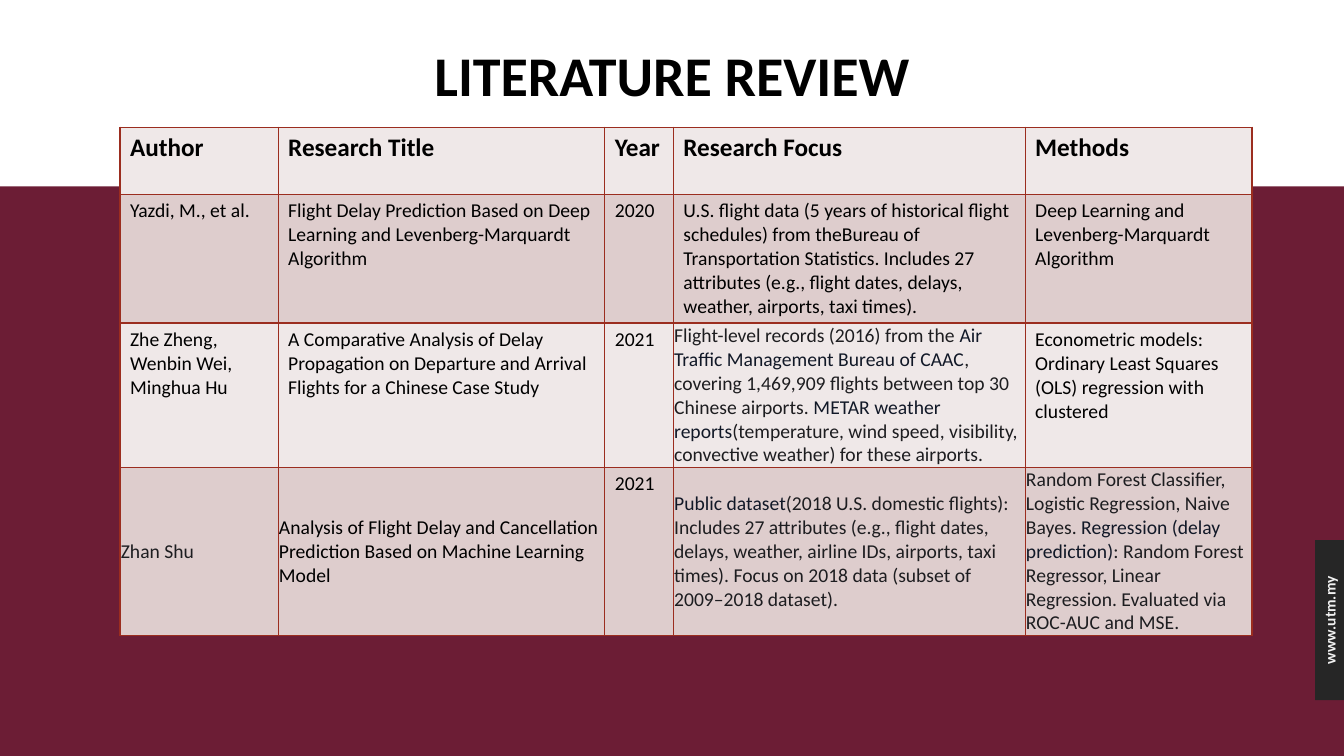
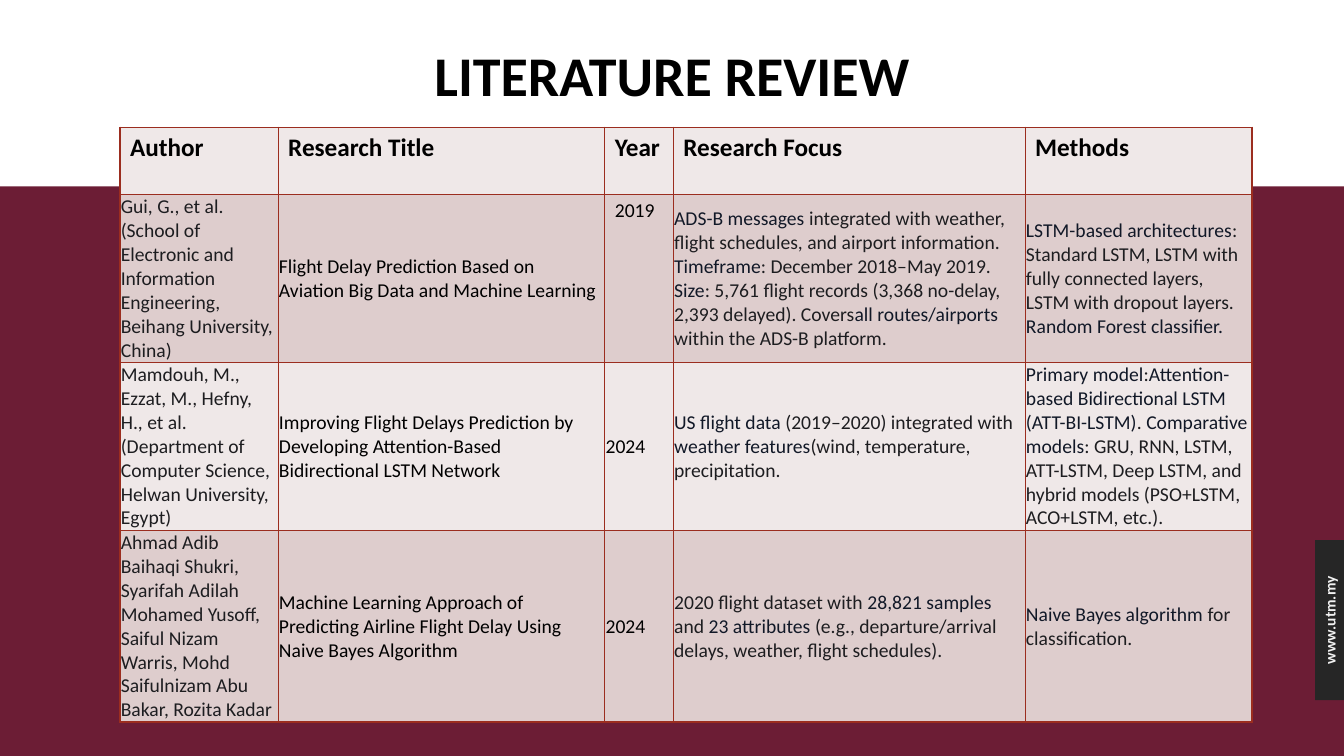
from dataclasses import dataclass

from lxml.etree import SubElement
from pptx import Presentation
from pptx.dml.color import RGBColor
from pptx.enum.shapes import MSO_SHAPE
from pptx.enum.text import MSO_ANCHOR, PP_ALIGN
from pptx.oxml.ns import qn
from pptx.util import Pt

FONT = "Calibri"
BLACK = RGBColor(0x00, 0x00, 0x00)
BODY = RGBColor(0x1D, 0x1D, 0x20)
KEY = RGBColor(0x11, 0x18, 0x27)
MAROON = RGBColor(0x6C, 0x1D, 0x35)
TAB_DARK = RGBColor(0x26, 0x26, 0x26)
TAB_TEXT = RGBColor(0xF2, 0xF2, 0xF2)
ROW_FILLS = (RGBColor(0xEF, 0xE8, 0xE8), RGBColor(0xDE, 0xCD, 0xCD))
BORDER = RGBColor(0x9B, 0x2D, 0x1F)

HEADINGS = ("Author", "Research Title", "Year", "Research Focus", "Methods")
COLUMN_WIDTHS = (113, 233.3, 49, 251.3, 162)
HEADER_HEIGHT = 48


@dataclass
class Tight:
    """Cell text without padding, centred vertically; *stars* mark key phrases."""
    text: str
    color: RGBColor = BODY


def write(frame, text, *, size, color=BLACK, bold=False, align=PP_ALIGN.LEFT,
          anchor=MSO_ANCHOR.TOP, spacing=None):
    """Fill a text frame; phrases between stars take the key colour."""
    frame.word_wrap = True
    frame.vertical_anchor = anchor
    paragraph = frame.paragraphs[0]
    paragraph.alignment = align
    if spacing:
        paragraph.line_spacing = spacing
    for index, phrase in enumerate(text.split("*")):
        if phrase:
            run = paragraph.add_run()
            run.text = phrase
            run.font.name = FONT
            run.font.size = Pt(size)
            run.font.bold = bold
            run.font.color.rgb = KEY if index % 2 else color


def outline(cell):
    properties = cell._tc.get_or_add_tcPr()
    for side in ("a:lnL", "a:lnR", "a:lnT", "a:lnB"):
        line = SubElement(properties, qn(side), w=str(Pt(1)))
        fill = SubElement(line, qn("a:solidFill"))
        SubElement(fill, qn("a:srgbClr"), val=str(BORDER))


class Deck:
    def __init__(self):
        self.presentation = Presentation()
        self.presentation.slide_width = Pt(960)
        self.presentation.slide_height = Pt(540)
        self.slide = None

    def add_slide(self, title):
        layout = self.presentation.slide_layouts[6]
        self.slide = self.presentation.slides.add_slide(layout)
        self.band(0, 133.2, 960, 406.8, MAROON)
        self.band(939.4, 385.8, 20.6, 114.4, TAB_DARK)
        self.label("www.utm.my", 895.6, 432.5, 108.8, 21, rotation=270,
                   size=11, color=TAB_TEXT, bold=True, align=PP_ALIGN.CENTER)
        self.label(title, 66, 21.6, 828, 69, size=40, bold=True, spacing=0.9,
                   align=PP_ALIGN.CENTER, anchor=MSO_ANCHOR.MIDDLE)

    def band(self, left, top, width, height, color):
        band = self.slide.shapes.add_shape(
            MSO_SHAPE.RECTANGLE, Pt(left), Pt(top), Pt(width), Pt(height))
        band.shadow.inherit = False
        band.fill.solid()
        band.fill.fore_color.rgb = color
        band.line.fill.background()

    def label(self, text, left, top, width, height, rotation=0, **style):
        label = self.slide.shapes.add_textbox(
            Pt(left), Pt(top), Pt(width), Pt(height))
        label.rotation = rotation
        write(label.text_frame, text, **style)

    def review_table(self, studies, heights):
        rows = [HEADINGS, *studies]
        heights = [HEADER_HEIGHT, *heights]
        table = self.slide.shapes.add_table(
            len(rows), len(HEADINGS), Pt(85.7), Pt(90.8),
            Pt(sum(COLUMN_WIDTHS)), Pt(sum(heights))).table
        table.first_row = table.horz_banding = False
        for column, width in zip(table.columns, COLUMN_WIDTHS):
            column.width = Pt(width)
        for index, (row, height, entries) in enumerate(
                zip(table.rows, heights, rows)):
            row.height = Pt(height)
            for cell, entry in zip(row.cells, entries):
                self.review_cell(cell, entry, index)

    def review_cell(self, cell, entry, row_index):
        outline(cell)
        cell.fill.solid()
        cell.fill.fore_color.rgb = ROW_FILLS[row_index % 2]
        if isinstance(entry, Tight):
            cell.margin_left = cell.margin_right = cell.margin_top = Pt(0.6)
            cell.margin_bottom = Pt(0)
            write(cell.text_frame, entry.text, size=14, color=entry.color)
            cell.vertical_anchor = MSO_ANCHOR.MIDDLE
        else:
            heading = row_index == 0
            write(cell.text_frame, entry, size=18 if heading else 14,
                  bold=heading)


EARLIER_STUDIES = [
    ("Yazdi, M., et al.",
     "Flight Delay Prediction Based on Deep Learning and "
     "Levenberg-Marquardt Algorithm",
     "2020",
     "U.S. flight data (5 years of historical flight schedules) from "
     "theBureau of Transportation Statistics. Includes 27 attributes "
     "(e.g., flight dates, delays, weather, airports, taxi times).",
     "Deep Learning and Levenberg-Marquardt Algorithm"),
    ("Zhe Zheng, Wenbin Wei, Minghua Hu",
     "A Comparative Analysis of Delay Propagation on Departure and Arrival "
     "Flights for a Chinese Case Study",
     "2021",
     Tight("Flight-level records (2016) from the *Air Traffic Management "
           "Bureau of CAAC*, covering 1,469,909 flights between top 30 "
           "Chinese airports. *METAR weather reports*(temperature, wind "
           "speed, visibility, convective weather) for these airports."),
     "Econometric models: Ordinary Least Squares (OLS) regression with "
     "clustered"),
    (Tight("Zhan Shu"),
     Tight("Analysis of Flight Delay and Cancellation Prediction Based on "
           "Machine Learning Model", BLACK),
     "2021",
     Tight("*Public dataset*(2018 U.S. domestic flights): Includes 27 "
           "attributes (e.g., flight dates, delays, weather, airline IDs, "
           "airports, taxi times). Focus on 2018 data (subset of 2009–2018 "
           "dataset)."),
     Tight("Random Forest Classifier, Logistic Regression, Naive Bayes. "
           "*Regression (delay prediction)*: Random Forest Regressor, Linear "
           "Regression. Evaluated via ROC-AUC and MSE.")),
]

LATER_STUDIES = [
    (Tight("Gui, G., et al. (School of Electronic and Information "
           "Engineering, Beihang University, China)"),
     Tight("Flight Delay Prediction Based on Aviation Big Data and Machine "
           "Learning", BLACK),
     "2019",
     Tight("*ADS-B messages *integrated with weather, flight schedules, and "
           "airport information. *Timeframe*: December 2018–May 2019. "
           "*Size*: 5,761 flight records (3,368 no-delay, 2,393 delayed). "
           "Covers*all routes/airports *within the ADS-B platform."),
     Tight("*LSTM-based architectures*: Standard LSTM, LSTM with fully "
           "connected layers, LSTM with dropout layers. "
           "*Random Forest classifier.*")),
    (Tight("Mamdouh, M., Ezzat, M., Hefny, H., et al. (Department of "
           "Computer Science, Helwan University, Egypt)"),
     Tight("Improving Flight Delays Prediction by Developing "
           "Attention-Based Bidirectional LSTM Network", BLACK),
     Tight("2024", BLACK),
     Tight("*US flight data *(2019–2020) integrated with *weather features*"
           "(wind, temperature, precipitation."),
     Tight("*Primary model*:*Attention-based Bidirectional LSTM "
           "(ATT-BI-LSTM)*. *Comparative models*: GRU, RNN, LSTM, ATT-LSTM, "
           "Deep LSTM, and hybrid models (PSO+LSTM, ACO+LSTM, etc.).")),
    (Tight("Ahmad Adib Baihaqi Shukri, Syarifah Adilah Mohamed Yusoff, "
           "Saiful Nizam Warris, Mohd Saifulnizam Abu Bakar, Rozita Kadar"),
     Tight("Machine Learning Approach of Predicting Airline Flight Delay "
           "Using Naive Bayes Algorithm", BLACK),
     Tight("2024", BLACK),
     Tight("2020 flight dataset with *28,821 samples *and *23 attributes *"
           "(e.g., departure/arrival delays, weather, flight schedules)."),
     Tight("*Naive Bayes algorithm *for classification.")),
]


def main():
    deck = Deck()
    for studies, heights in ((EARLIER_STUDIES, (92, 103, 120)),
                             (LATER_STUDIES, (120, 120, 137))):
        deck.add_slide("LITERATURE REVIEW")
        deck.review_table(studies, heights)
    deck.presentation.save("out.pptx")


if __name__ == "__main__":
    main()
